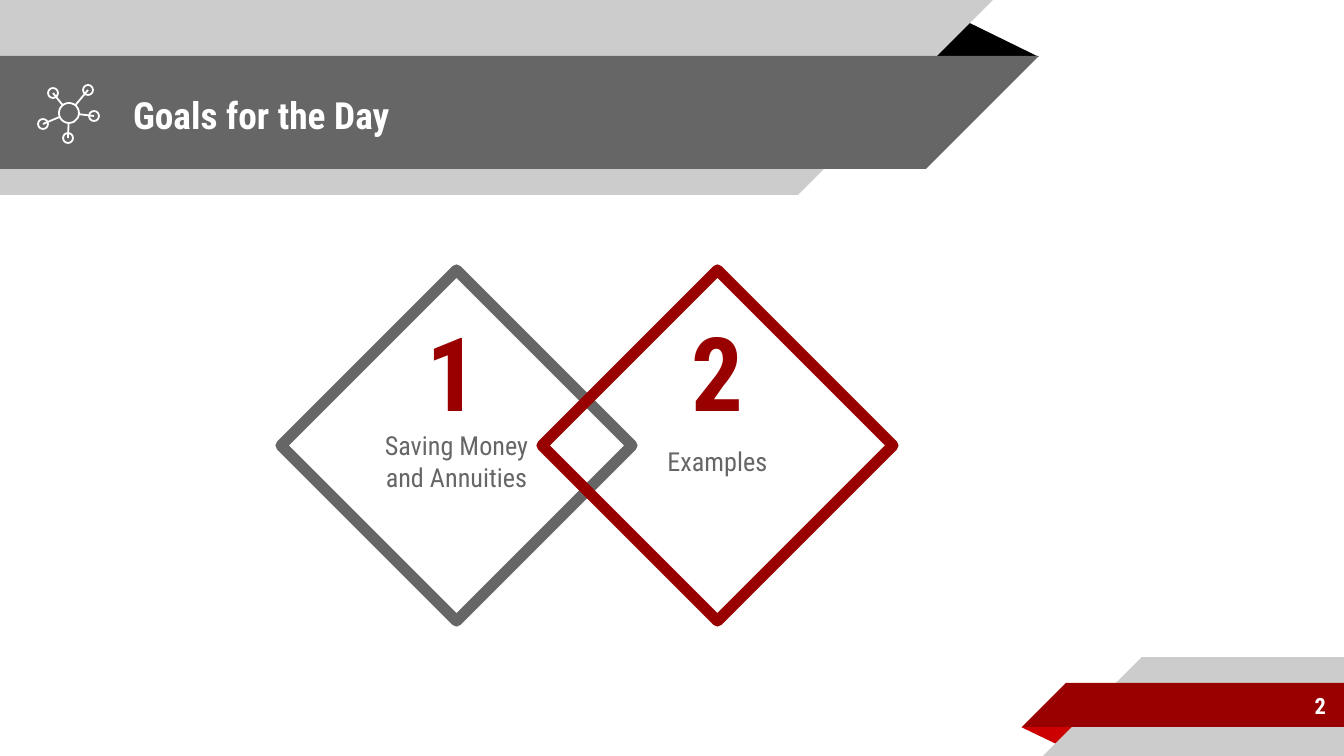
import math
from dataclasses import dataclass

from lxml import etree
from pptx import Presentation
from pptx import util as u
from pptx.dml.color import RGBColor
from pptx.enum import shapes, text
from pptx.oxml.ns import qn

PX = 914400 / 134.4
FONT = "Roboto Condensed"
WHITE, GREY, LIGHT, RED = "FFFFFF", "666666", "CCCCCC", "990000"
PAD = 13
GEO = shapes.MSO_SHAPE
ALIGN = text.PP_ALIGN
ANCHOR = text.MSO_ANCHOR


@dataclass
class Band:
    rect: tuple[int, int, int, int]
    color: str
    on_right: bool


@dataclass
class Fold:
    box: tuple[int, int, int, int]
    color: str
    rotation: int


@dataclass
class Goal:
    left: int
    border: str
    fill: str | None
    label: str


@dataclass
class Number:
    left: int
    value: str


HEADER = [
    Fold((925, 19, 114, 38), "000000", 0),
    Band((0, 0, 798, 195), LIGHT, False),
    Band((0, 56, 926, 113), GREY, False),
]
FOOTER = [
    Fold((1021, 727, 58, 19), "CC0000", 180),
    Band((1142, 657, 202, 99), LIGHT, True),
    Band((1066, 683, 278, 44), RED, True),
]
GOALS = [
    Goal(281, GREY, WHITE, "Saving Money and Annuities"),
    Goal(542, RED, None, "Examples"),
]
NUMBERS = [Number(414, "1"), Number(679, "2")]
HUB, HUB_R, NODE_R = (69, 113), 10, 5
NODES = [(88, 90), (53, 93), (43, 124), (68, 138), (94, 116)]


def px(n: float) -> int:
    return round(n * PX)


def rgb(color: str) -> RGBColor:
    return RGBColor.from_string(color)


def add_shape(s, kind, box, fill: str | None = None, line: str | None = None, width: float = 1):
    sp = s.shapes.add_shape(kind, *map(px, box))
    sp.shadow.inherit = False
    if fill:
        sp.fill.solid()
        sp.fill.fore_color.rgb = rgb(fill)
    else:
        sp.fill.background()
    if line:
        sp.line.color.rgb = rgb(line)
        sp.line.width = u.Pt(width)
    else:
        sp.line.fill.background()
    return sp


def write(sp, content: str, size: int, color: str, bold: bool = True,
          align=ALIGN.LEFT, anchor=ANCHOR.MIDDLE, top: int = PAD) -> None:
    tf = sp.text_frame
    tf.word_wrap = True
    tf.vertical_anchor = anchor
    tf.margin_left = tf.margin_right = tf.margin_bottom = px(PAD)
    tf.margin_top = px(top)
    p = tf.paragraphs[0]
    p.text = content
    p.alignment = align
    p.font.name = FONT
    p.font.size = u.Pt(size)
    p.font.bold = bold
    p.font.color.rgb = rgb(color)


def add_text(s, box, *args, **kwargs) -> None:
    write(s.shapes.add_textbox(*map(px, box)), *args, **kwargs)


def draw_fold(s, fold: Fold) -> None:
    sp = add_shape(s, GEO.ISOSCELES_TRIANGLE, fold.box, fold.color)
    sp.adjustments[0] = 0.32
    sp.rotation = fold.rotation


def draw_band(s, band: Band) -> None:
    x, y, w, h = band.rect
    add_shape(s, GEO.RECTANGLE, band.rect, band.color)
    left = x - h if band.on_right else x + w
    tip = add_shape(s, GEO.RIGHT_TRIANGLE, (left, y, h, h), band.color)
    tip._element.spPr.find(qn("a:xfrm")).set("flipH" if band.on_right else "flipV", "1")


def draw_circle(s, center: tuple[int, int], radius: int) -> None:
    x, y = center
    add_shape(s, GEO.OVAL, (x - radius, y - radius, 2 * radius, 2 * radius), None, WHITE, 0.96)


def draw_spoke(s, node: tuple[int, int]) -> None:
    dx, dy = node[0] - HUB[0], node[1] - HUB[1]
    k = HUB_R / math.hypot(dx, dy)
    edge = HUB[0] + k * dx, HUB[1] + k * dy
    c = s.shapes.add_connector(shapes.MSO_CONNECTOR.STRAIGHT, *map(px, (*node, *edge)))
    c.line.color.rgb = rgb(WHITE)
    c.line.width = u.Pt(0.96)
    etree.SubElement(c._element.spPr, qn("a:effectLst"))


def draw_goal(s, goal: Goal) -> None:
    sp = add_shape(s, GEO.DIAMOND, (goal.left, 270, 351, 351), goal.fill, goal.border, 6)
    write(sp, goal.label, 14, GREY, bold=False, align=ALIGN.CENTER, top=PAD + 31)


def main() -> None:
    prs = Presentation()
    prs.slide_width, prs.slide_height = px(1344), px(756)
    s = prs.slides.add_slide(prs.slide_layouts[6])

    for part in HEADER + FOOTER:
        if isinstance(part, Fold):
            draw_fold(s, part)
        else:
            draw_band(s, part)

    add_text(s, (120, 58, 773, 113), "Goals for the Day", 20, WHITE)
    add_text(s, (1120, 682, 219, 47), "2", 12, WHITE, align=ALIGN.RIGHT)

    for goal in GOALS:
        draw_goal(s, goal)

    for node in NODES:
        draw_circle(s, node, NODE_R)
        draw_spoke(s, node)
    draw_circle(s, HUB, HUB_R)

    for number in NUMBERS:
        add_text(s, (number.left, 297, 73, 148), number.value, 55, RED, anchor=ANCHOR.BOTTOM)

    prs.save("out.pptx")


if __name__ == "__main__":
    main()
